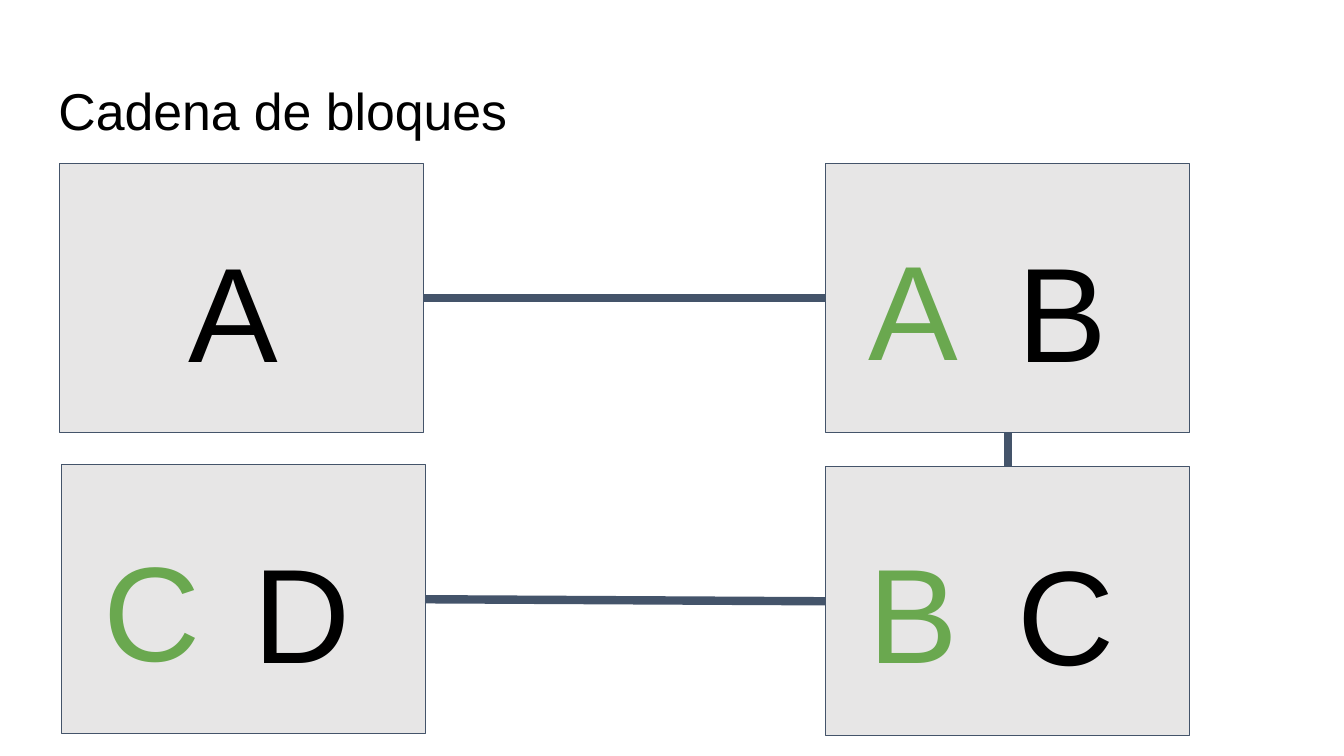
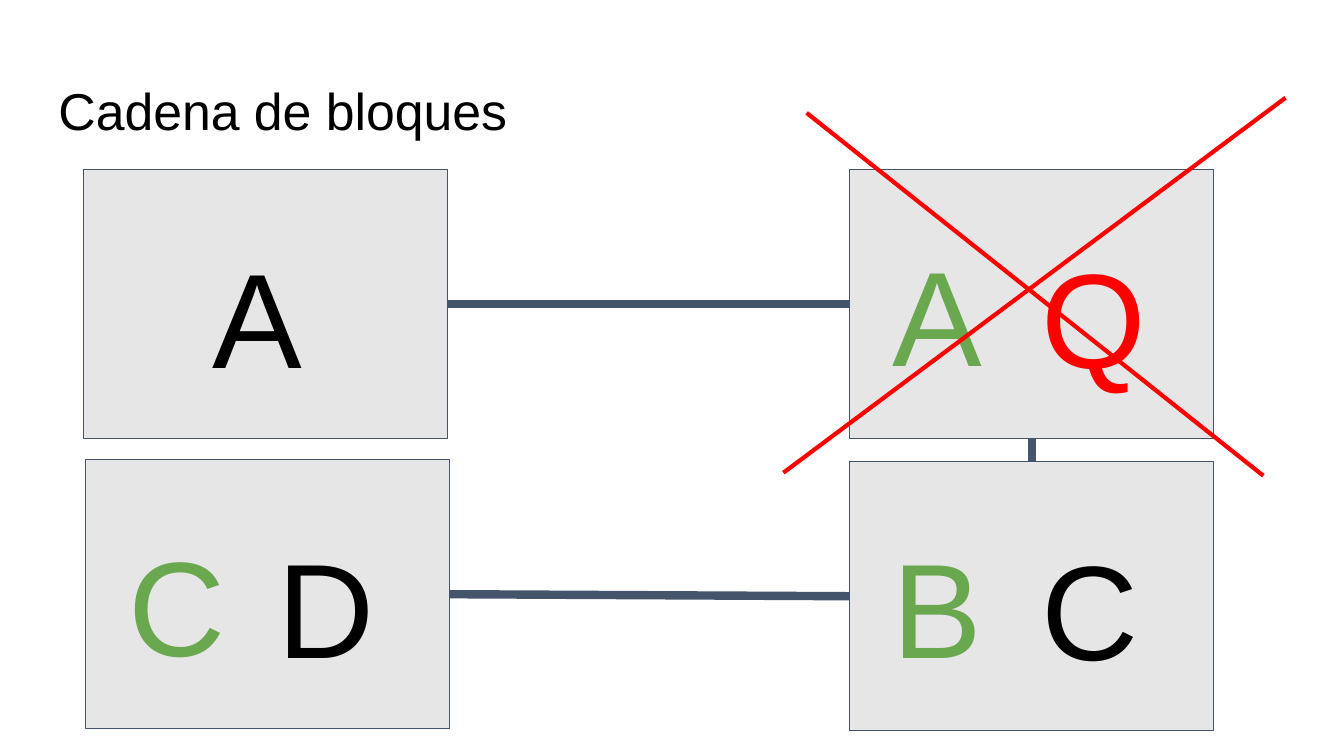
from dataclasses import dataclass

from lxml import etree
from pptx import Presentation
from pptx.dml.color import RGBColor as RGB
from pptx.enum.shapes import MSO_CONNECTOR as Connector, MSO_SHAPE as Shape
from pptx.enum.text import MSO_ANCHOR as Anchor
from pptx.oxml.ns import qn
from pptx.util import Emu, Pt

EMU_PER_PX = 9144
RIGHT, LEFT, TOP, BOTTOM = 3, 1, 0, 2


@dataclass(frozen=True)
class Theme:
    font: str = "Arial"
    ink: RGB = RGB.from_string("000000")
    previous: RGB = RGB.from_string("6AA84F")
    invalid: RGB = RGB.from_string("FF0000")
    block: RGB = RGB.from_string("E7E6E6")
    link: RGB = RGB.from_string("44546A")
    title_size: int = 37
    letter_size: int = 96
    outline: float = 0.75
    link_width: int = 6
    cross_width: int = 3


def px(value):
    return Emu(value * EMU_PER_PX)


class Deck:
    def __init__(self, theme):
        self.theme = theme
        self.presentation = Presentation()
        self.presentation.slide_width = px(1333)
        self.presentation.slide_height = px(750)
        self.slide = None

    def new_slide(self, title):
        layout = self.presentation.slide_layouts[6]
        self.slide = self.presentation.slides.add_slide(layout)
        self.text(title, 45, 65, 1242, 83, self.theme.title_size, self.theme.ink)

    def text(self, content, left, top, width, height, size, color):
        box = self.slide.shapes.add_textbox(px(left), px(top), px(width), px(height))
        frame = box.text_frame
        frame.word_wrap = True
        frame.vertical_anchor = Anchor.TOP
        frame.margin_left = frame.margin_right = px(13)
        frame.margin_top = frame.margin_bottom = px(13)
        run = frame.paragraphs[0].add_run()
        run.text = content
        run.font.name = self.theme.font
        run.font.size = Pt(size)
        run.font.color.rgb = color

    def letter(self, content, left, top, color):
        self.text(content, left, top, 136, 166, self.theme.letter_size, color)

    def block(self, left, top, value, previous=None, color=None):
        shape = self.slide.shapes.add_shape(
            Shape.RECTANGLE, px(left), px(top), px(361), px(267))
        shape.shadow.inherit = False
        shape.fill.solid()
        shape.fill.fore_color.rgb = self.theme.block
        shape.line.color.rgb = self.theme.link
        shape.line.width = Pt(self.theme.outline)
        if previous:
            self.letter(previous, left + 29, top + 49, self.theme.previous)
        value_left = left + (177 if previous else 115)
        self.letter(value, value_left, top + 51, color or self.theme.ink)
        return shape

    def line(self, start, end, color, width):
        connector = self.slide.shapes.add_connector(
            Connector.STRAIGHT, *map(px, (*start, *end)))
        connector.line.color.rgb = color
        connector.line.width = Pt(width)
        properties = connector._element.spPr
        etree.SubElement(properties, qn("a:effectLst"))
        return connector

    def link(self, first, first_side, second, second_side):
        connector = self.line((0, 0), (0, 0), self.theme.link, self.theme.link_width)
        connector.begin_connect(first, first_side)
        connector.end_connect(second, second_side)

    def cross(self, *strokes):
        for start, end in strokes:
            self.line(start, end, self.theme.invalid, self.theme.cross_width)

    def chain(self, left, top, lower_top, second_value, second_color=None):
        right = left + 760
        first = self.block(left, top, "A")
        second = self.block(right, top, second_value, "A", second_color)
        self.link(first, RIGHT, second, LEFT)
        third = self.block(right, lower_top, "C", "B")
        self.link(second, BOTTOM, third, TOP)
        fourth = self.block(left + 2, lower_top - 2, "D", "C")
        self.link(fourth, RIGHT, third, LEFT)


def main():
    theme = Theme()
    deck = Deck(theme)
    title = "Cadena de bloques"

    deck.new_slide(title)
    deck.chain(59, 162, 463, "B")

    deck.new_slide(title)
    deck.chain(83, 168, 458, "Q", theme.invalid)
    deck.cross(((777, 469), (1275, 97)), ((1253, 472), (800, 112)))

    deck.presentation.save("out.pptx")


if __name__ == "__main__":
    main()
